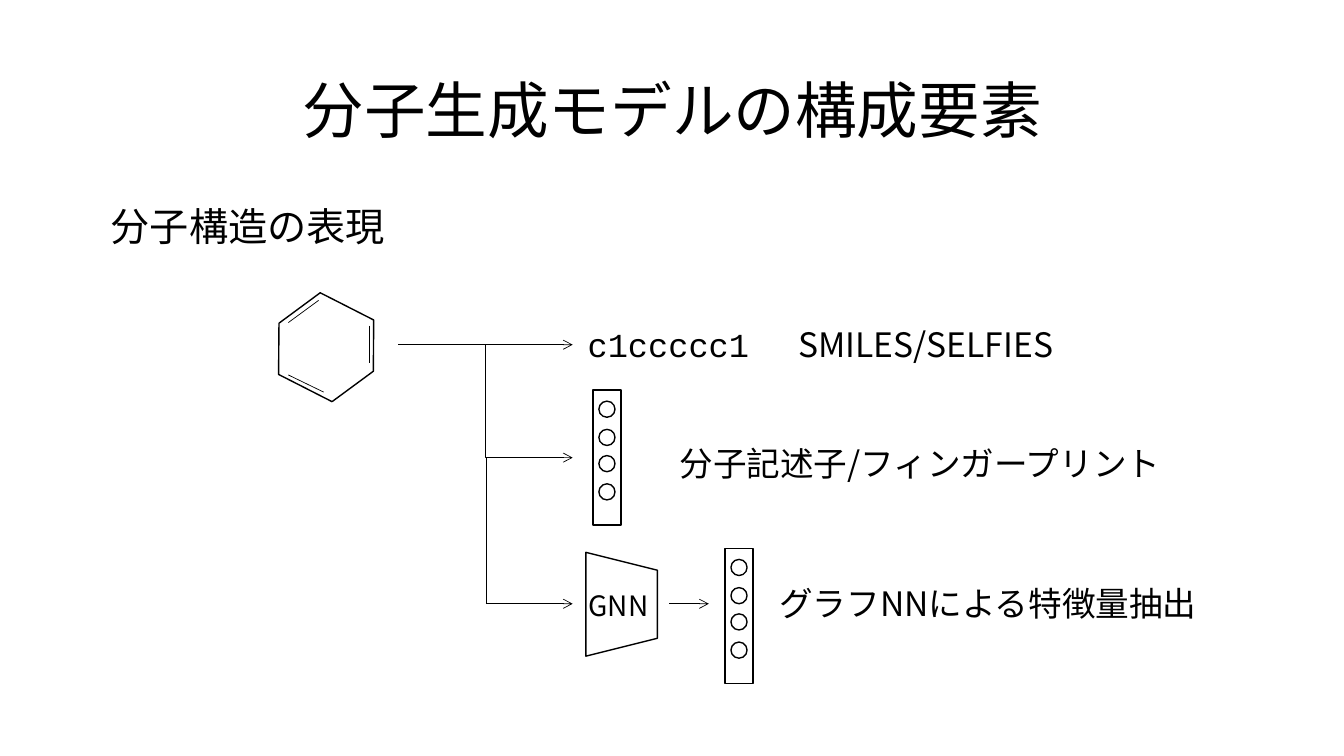
from lxml.etree import SubElement
from pptx import Presentation
from pptx.dml.color import RGBColor
from pptx.enum.shapes import MSO_CONNECTOR, MSO_SHAPE
from pptx.enum.text import MSO_ANCHOR, MSO_AUTO_SIZE, PP_ALIGN
from pptx.oxml.ns import qn
from pptx.util import Pt

PX = 9144  # 100 px to the inch
BLACK = RGBColor(0, 0, 0)
SANS = "Noto Sans CJK JP"
MONO = "Courier New"


def px(*lengths):
    return [length * PX for length in lengths]


def add_text(slide, text, box, size=24, font=SANS, align=PP_ALIGN.LEFT,
             anchor=MSO_ANCHOR.TOP, spacing=None, grow=True):
    frame = slide.shapes.add_textbox(*px(*box)).text_frame
    frame.word_wrap = True
    frame.vertical_anchor = anchor
    if grow:
        frame.auto_size = MSO_AUTO_SIZE.SHAPE_TO_FIT_TEXT
    paragraph = frame.paragraphs[0]
    paragraph.alignment = align
    if spacing:
        paragraph.line_spacing = spacing
    run = paragraph.add_run()
    run.text = text
    run.font.size = Pt(size)
    run.font.color.rgb = BLACK
    run.font.name = font
    SubElement(run.font._element, qn("a:ea"), typeface=font)


def add_outline(slide, kind, box, rotation=0):
    outline = slide.shapes.add_shape(kind, *px(*box))
    outline.shadow.inherit = False
    outline.fill.background()
    outline.line.color.rgb = BLACK
    outline.line.width = Pt(1)
    outline.rotation = rotation


def add_line(slide, start, end, arrow=False, kind=MSO_CONNECTOR.STRAIGHT):
    line = slide.shapes.add_connector(kind, *px(*start, *end))
    line.line.color.rgb = BLACK
    line.line.width = Pt(0.5)
    if arrow:
        SubElement(line.line._get_or_add_ln(), qn("a:tailEnd"), type="arrow")
    SubElement(line._element.spPr, qn("a:effectLst"))


def draw_headings(slide, left, top, width):
    add_text(slide, "分子生成モデルの構成要素", (left, top, width, 145), size=44,
             align=PP_ALIGN.CENTER, anchor=MSO_ANCHOR.MIDDLE, spacing=0.9,
             grow=False)
    add_text(slide, "分子構造の表現", (left + 8, top + 156, 295, 57), size=28)


def draw_benzene(slide, left, top, width, height):
    # Inner strokes of the double bonds
    for start, end in (((45, -1), (15, 21)), ((95, 24), (95, 61)),
                       ((50, 90), (15, 73))):
        add_line(slide, (left + start[0], top + start[1]),
                 (left + end[0], top + end[1]))
    add_outline(slide, MSO_SHAPE.HEXAGON, (left, top, width, height), rotation=27)


def draw_vector(slide, left, top, width=28, height=134):
    add_outline(slide, MSO_SHAPE.RECTANGLE, (left, top, width, height))
    diameter = 16
    for offset in (11, 39, 65, 93):
        add_outline(slide, MSO_SHAPE.OVAL,
                    (left + (width - diameter) // 2, top + offset, diameter, diameter))


def draw_branches(slide, left, right, smiles_y, descriptor_y, graph_y):
    trunk = (left + right + 1) // 2
    add_line(slide, (left, smiles_y), (right, smiles_y), arrow=True)
    add_line(slide, (left, smiles_y), (right, descriptor_y), arrow=True,
             kind=MSO_CONNECTOR.ELBOW)
    add_line(slide, (trunk, descriptor_y), (trunk, graph_y))
    add_line(slide, (trunk, graph_y), (right, graph_y), arrow=True)


def draw_smiles(slide, left, top):
    add_text(slide, "c1ccccc1", (left, top, 182, 50), font=MONO)
    add_text(slide, "SMILES/SELFIES", (left + 209, top, 295, 50))


def draw_descriptor(slide, left, top):
    draw_vector(slide, left, top)
    add_text(slide, "分子記述子/フィンガープリント", (left + 76, top + 47, 508, 50))


def draw_graph_network(slide, left, top, axis_y):
    # Encoder, turned so that it narrows to the right
    add_outline(slide, MSO_SHAPE.TRAPEZOID, (left, top + 20, 103, 71), rotation=90)
    add_text(slide, "GNN", (left + 9, top + 35, 83, 44), size=20)
    # Feature vector
    add_line(slide, (left + 99, axis_y), (left + 138, axis_y), arrow=True)
    draw_vector(slide, left + 154, top)
    add_text(slide, "グラフNNによる特徴量抽出", (left + 198, top + 29, 441, 50))


def main():
    presentation = Presentation()
    presentation.slide_width, presentation.slide_height = px(1333, 750)
    slide = presentation.slides.add_slide(presentation.slide_layouts[6])
    smiles_y, descriptor_y, graph_y = 342, 454, 599

    draw_headings(slide, 92, 40, 1150)
    draw_benzene(slide, 271, 299, 105, 91)
    draw_branches(slide, 395, 568, smiles_y, descriptor_y, graph_y)
    draw_smiles(slide, 573, 316)
    draw_descriptor(slide, 588, 387)
    draw_graph_network(slide, 565, 544, graph_y)
    presentation.save("out.pptx")


if __name__ == "__main__":
    main()
